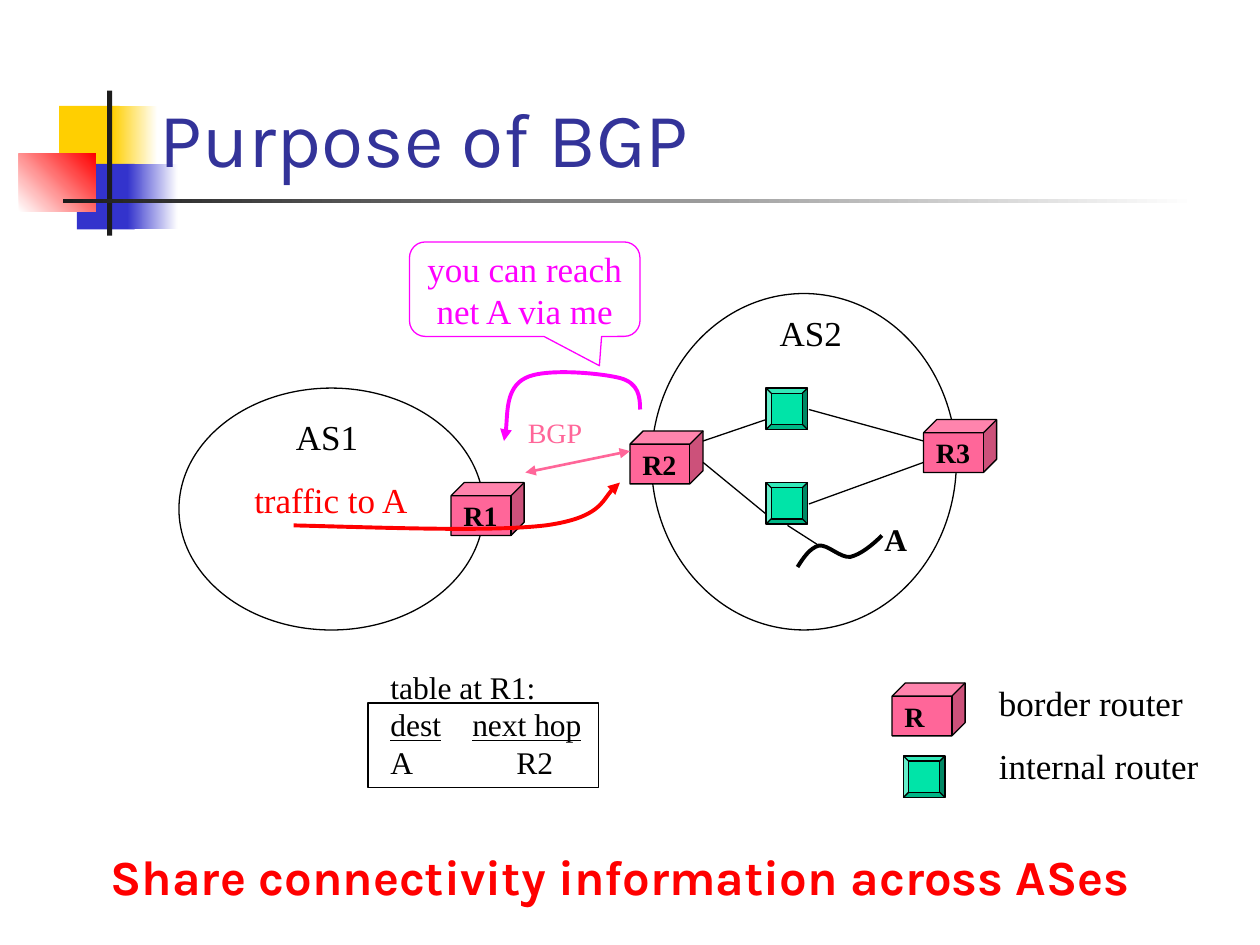
from lxml.etree import SubElement
from pptx import Presentation
from pptx.dml.color import RGBColor
from pptx.enum.shapes import MSO_CONNECTOR as Connector, MSO_SHAPE as Shape
from pptx.enum.text import MSO_ANCHOR as Anchor, MSO_AUTO_SIZE as AutoSize, PP_ALIGN as Align
from pptx.oxml.ns import qn
from pptx.util import Inches, Pt

SERIF, SANS = "Times New Roman", "Karla"
BLACK, RED, PINK, MAGENTA = "000000", "FF0000", "FF6699", "FF00FF"
GOLD, BLUE, INK, WHITE = "FFCF01", "3333CC", "1C1C1C", "FFFFFF"


def color(hex_text):
    """Turn a hex string into a colour."""
    return RGBColor.from_string(hex_text)


def place(shapes, kind, box, fill=None, line=None, adjust=()):
    """Add a preset shape; a fill of two colours and an angle is a gradient."""
    shape = shapes.add_shape(kind, *map(Inches, box))
    shape.shadow.inherit = False
    for index, value in enumerate(adjust):
        shape.adjustments[index] = value
    if fill is None:
        shape.fill.background()
    elif isinstance(fill, str):
        shape.fill.solid()
        shape.fill.fore_color.rgb = color(fill)
    else:
        start, end, angle = fill
        shape.fill.gradient()
        shape.fill.gradient_angle = angle
        for stop, shade in zip(shape.fill.gradient_stops, (start, end)):
            stop.color.rgb = color(shade)
    if line:
        stroke(shape, line, 0.75)
    else:
        shape.line.fill.background()
    return shape


def stroke(shape, shade, width, ends=()):
    """Draw a line in one colour and width, with arrowheads at the named ends."""
    shape.line.color.rgb = color(shade)
    shape.line.width = Pt(width)
    for end in ends:
        SubElement(shape.element.xpath(".//a:ln")[0], qn("a:" + end), type="triangle")


def write(shape, text, size=20, shade=BLACK, font=SERIF, bold=False, wrap=False,
          align=Align.LEFT, anchor=Anchor.TOP, tabs=None):
    """Fill a shape with text; underscores enclose underlined words."""
    frame = shape.text_frame
    frame.word_wrap = wrap
    frame.vertical_anchor = anchor
    for index, line in enumerate(text.split("\n")):
        paragraph = frame.add_paragraph() if index else frame.paragraphs[0]
        paragraph.alignment = align
        if tabs and index in tabs:
            stops = SubElement(paragraph._p.get_or_add_pPr(), qn("a:tabLst"))
            SubElement(stops, qn("a:tab"), pos=str(Inches(tabs[index])), algn="l")
        for row, row_text in enumerate(line.split("\v")):
            if row:
                paragraph.add_line_break()
            for part, words in enumerate(row_text.split("_")):
                if words:
                    run = paragraph.add_run()
                    run.text = words
                    run.font.size = Pt(size)
                    run.font.name = font
                    run.font.bold = bold
                    run.font.underline = part % 2 == 1
                    run.font.color.rgb = color(shade)


def label(shapes, text, box, **style):
    """Add a text box."""
    holder = shapes.add_textbox(*map(Inches, box))
    write(holder, text, **style)
    if not style.get("wrap"):
        holder.text_frame.auto_size = AutoSize.SHAPE_TO_FIT_TEXT


def border_router(slide, name, left, top):
    """Add a pink cube grouped with its name."""
    router = slide.shapes.add_group_shape().shapes
    place(router, Shape.CUBE, (left, top, 0.58, 0.42), PINK, BLACK, (0.25,))
    label(router, name, (left, top + 0.08, 0.5, 0.37), size=16, bold=True, wrap=True)


def internal_router(slide, left, top):
    """Add a green bevelled square."""
    place(slide.shapes, Shape.BEVEL, (left, top, 0.33, 0.33), "00E4A8", BLACK, (0.125,))


def link(slide, start, end, shade=BLACK, width=0.75, ends=()):
    """Join two points with a straight line."""
    wire = slide.shapes.add_connector(Connector.STRAIGHT, *map(Inches, start + end))
    stroke(wire, shade, width, ends)
    SubElement(wire.element.spPr, qn("a:effectLst"))


def curve(slide, points, shade, ends=()):
    """Draw a Bezier curve: a start point, then three points per segment."""
    start, *rest = [tuple(map(Inches, point)) for point in points]
    builder = slide.shapes.build_freeform(*start)
    builder.add_line_segments(rest, close=False)
    shape = builder.convert_to_shape()
    shape.shadow.inherit = False
    shape.fill.background()
    stroke(shape, shade, 2.25, ends)
    outline = shape.element.xpath(".//a:path")[0]
    steps = outline.findall(qn("a:lnTo"))
    for first in range(0, len(steps), 3):
        bend = SubElement(outline, qn("a:cubicBezTo"))
        for step in steps[first:first + 3]:
            bend.append(step[0])
            outline.remove(step)


def decorate(slide):
    """Add the coloured blocks and rules around the title."""
    for box, fill in (
        ((0.47, 0.84, 0.48, 0.52), GOLD),
        ((0.89, 0.84, 0.36, 0.52), (GOLD, WHITE, 0)),
        ((0.61, 1.3, 0.46, 0.52), BLUE),
        ((1.01, 1.3, 0.4, 0.52), (BLUE, WHITE, 0)),
        ((0.15, 1.22, 0.61, 0.46), (WHITE, RED, 45)),
        ((0.85, 0.72, 0.04, 1.15), INK),
        ((0.5, 1.58, 9, 0.03), (INK, WHITE, 0)),
    ):
        place(slide.shapes, Shape.RECTANGLE, box, fill)


def draw_networks(slide):
    """Add both autonomous systems with their routers and links."""
    shapes = slide.shapes
    place(shapes, Shape.OVAL, (1.42, 3.08, 2.42, 1.92), line=BLACK)
    place(shapes, Shape.OVAL, (5.17, 2.33, 2.42, 2.67), line=BLACK)
    for name, left, top in (("R", 7.08, 5.42), ("R2", 5, 3.42),
                            ("R1", 3.58, 3.83), ("R3", 7.33, 3.33)):
        border_router(slide, name, left, top)
    for left, top in ((7.17, 6), (6.08, 3.08), (6.08, 3.83)):
        internal_router(slide, left, top)
    link(slide, (4.17, 3.75), (5, 3.58), PINK, 1.5, ("headEnd", "tailEnd"))
    for start, end in (((5.58, 3.5), (6.08, 3.33)), ((5.58, 3.67), (6.08, 4.08)),
                       ((6.42, 3.25), (7.33, 3.5)), ((6.42, 4), (7.33, 3.67)),
                       ((6.25, 4.17), (6.5, 4.33))):
        link(slide, start, end)
    curve(slide, [(6.33, 4.5), (6.38, 4.42), (6.43, 4.35), (6.5, 4.33), (6.57, 4.32),
                  (6.67, 4.43), (6.75, 4.42), (6.83, 4.4), (6.92, 4.33), (7, 4.25)], BLACK)
    label(shapes, "AS1", (2.25, 3.25, 0.73, 0.44))
    label(shapes, "AS2", (6.09, 2.42, 0.73, 0.44))
    label(shapes, "A", (6.92, 4.08, 0.4, 0.4), size=18, bold=True)
    label(shapes, "BGP", (4.09, 3.25, 0.65, 0.37), size=16, shade=PINK)
    label(shapes, "border router", (7.83, 5.36, 1.7, 0.44))
    label(shapes, "internal router", (7.83, 5.86, 1.83, 0.44))


def draw_messages(slide):
    """Add the route announcement, the traffic it draws and the routing table."""
    shapes = slide.shapes
    curve(slide, [(5.08, 3.25), (5.08, 3.15), (5.07, 3.04), (4.92, 3), (4.76, 2.96),
                  (4.32, 2.92), (4.17, 3), (4.01, 3.08), (4.03, 3.42), (4, 3.5)],
          MAGENTA, ("tailEnd",))
    announcement = place(shapes, Shape.ROUNDED_RECTANGULAR_CALLOUT, (3.25, 1.92, 1.83, 0.75),
                         line=MAGENTA, adjust=(0.324, 0.81, 0.167))
    write(announcement, "you can reach\vnet A via me", shade=MAGENTA,
          align=Align.CENTER, anchor=Anchor.MIDDLE)
    label(shapes, "traffic to A", (1.92, 3.75, 1.46, 0.44), shade=RED)
    curve(slide, [(2.33, 4.17), (3.12, 4.19), (3.9, 4.22), (4.33, 4.17),
                  (4.76, 4.11), (4.82, 3.89), (4.92, 3.83)], RED, ("tailEnd",))
    label(shapes, "table at R1:\n_dest_\t_next hop_\nA\tR2", (3, 5.25, 1.8, 1),
          size=18, wrap=True, tabs={1: 0.65, 2: 1})
    place(shapes, Shape.RECTANGLE, (2.92, 5.58, 1.83, 0.67), line=BLACK)


def main():
    """Build and save the slide."""
    deck = Presentation()
    deck.slide_width, deck.slide_height = Inches(10), Inches(7.5)
    slide = deck.slides.add_slide(deck.slide_layouts[6])
    decorate(slide)
    label(slide.shapes, "Purpose of BGP", (1.17, 0.25, 8.52, 1.25), size=44,
          shade="333399", font=SANS, wrap=True, anchor=Anchor.BOTTOM)
    draw_networks(slide)
    draw_messages(slide)
    label(slide.shapes, "Share connectivity information across ASes",
          (0.78, 6.67, 8.62, 0.57), size=28, shade=RED, font=SANS, bold=True)
    deck.save("out.pptx")


if __name__ == "__main__":
    main()
